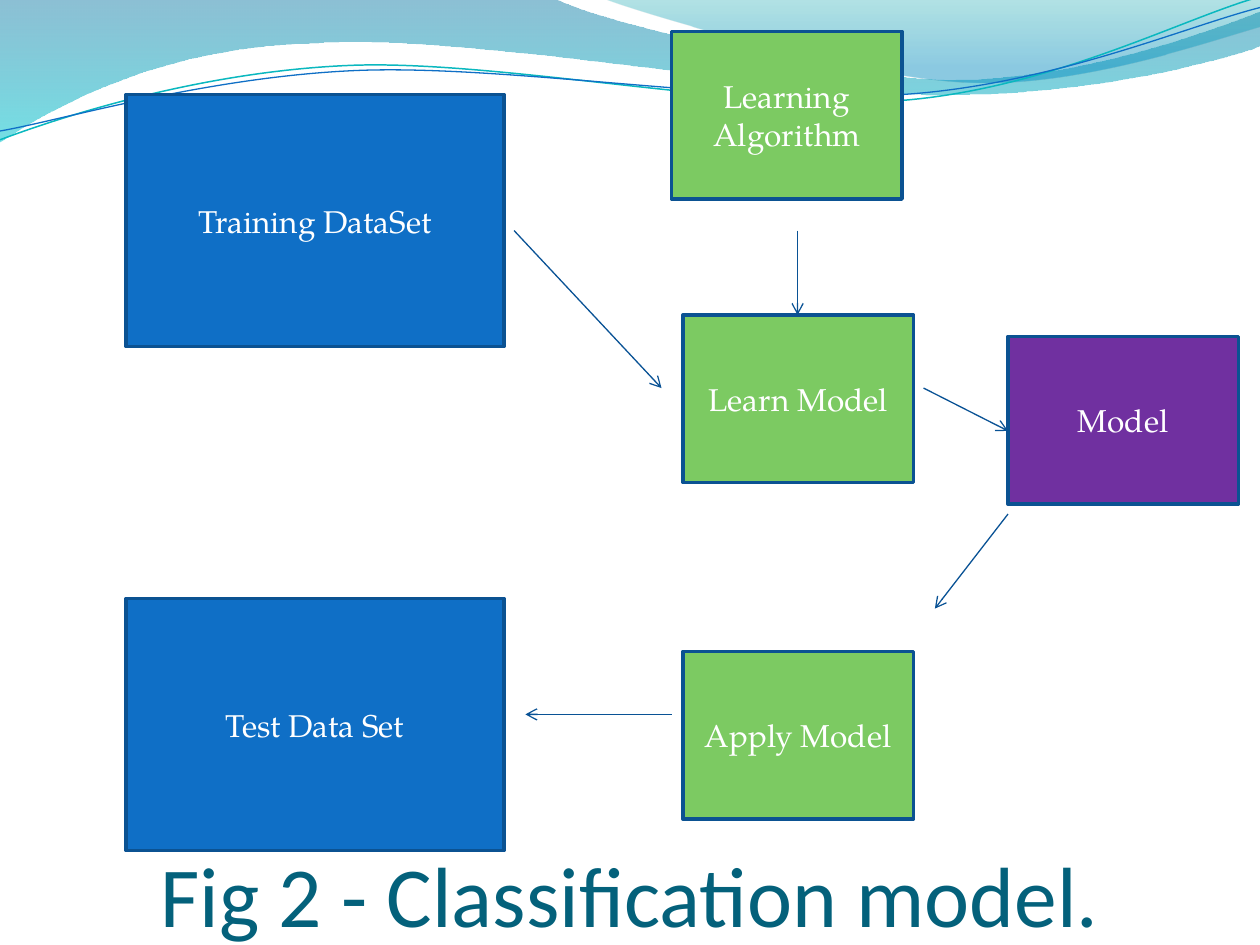
from lxml.etree import SubElement
from pptx import Presentation
from pptx.dml.color import RGBColor
from pptx.enum.shapes import MSO_CONNECTOR as Link, MSO_SHAPE as Shape
from pptx.enum.text import MSO_ANCHOR as Anchor, MSO_AUTO_SIZE as Fit, PP_ALIGN as Align
from pptx.oxml.ns import qn
from pptx.util import Inches, Pt

HUES = {
    "blue": "0F6FC6", "green": "7CCA62", "purple": "7030A0", "edge": "0B5292",
    "arrow": "095295", "title": "04617B", "white": "FFFFFF", "teal": "0AB8BF",
    "deep": "0074A1", "aqua": "00C6CF", "sea": "00A1A9", "sky": "008BBF",
}
BANDS = [
    ([(0, 0), (4.4, -0.01), (4.76, 0.17, 6.64, 0.63, 7.58, 0.63),
      (8.53, 0.63, 9.58, 0.26, 10, 0.09), (10.01, 0.36),
      (9.83, 0.44, 8.7, 0.76, 7.46, 0.75), (6.22, 0.75, 3.82, 0.28, 2.57, 0.34),
      (1.29, 0.36, 0.46, 0.83, -0.01, 1.13)],
     [(0, "deep", 45), (1, "aqua", 55)]),
    ([(4.79, -0.01), (5.09, 0.11, 6.82, 0.62, 7.69, 0.65),
      (8.56, 0.69, 9.61, 0.32, 10, 0.21), (10, 0)],
     [(0, "sea", 30), (0.8, "sky", 45)]),
]
CURVES = [
    ([(0, 1.11), (0.48, 0.93, 1.58, 0.57, 2.77, 0.52), (3.95, 0.47, 5.93, 0.89, 7.13, 0.8),
      (8.33, 0.71, 9.38, 0.15, 9.98, -0.02)], "teal", 0.85),
    ([(0, 1.04), (0.47, 0.96, 1.64, 0.61, 2.83, 0.56), (4.03, 0.51, 5.97, 0.84, 7.17, 0.75),
      (8.36, 0.67, 9.41, 0.21, 10, 0.06)], "blue", 0.75),
]
BIG, SMALL = (3, 2), (1.83, 1.33)
NODES = [
    ("Training DataSet", 1, 0.75, BIG, "blue"),
    ("Test Data Set", 1, 4.75, BIG, "blue"),
    ("Learning Algorithm", 5.33, 0.25, SMALL, "green"),
    ("Learn Model", 5.42, 2.5, SMALL, "green"),
    ("Apply Model", 5.42, 5.17, SMALL, "green"),
    ("Model", 8, 2.67, SMALL, "purple"),
]
ARROWS = [
    (4.08, 1.83, 5.25, 3.08), (6.33, 1.83, 6.33, 2.5), (7.33, 3.08, 8, 3.42),
    (8, 4.08, 7.42, 4.83), (5.33, 5.67, 4.17, 5.67),
]


def hue(name):
    """Return the named colour."""
    return RGBColor.from_string(HUES[name])


def stroke(line, name, width):
    """Set the colour and width of a line."""
    line.color.rgb = hue(name)
    line.width = Pt(width)


def draw(slide, box, route, close):
    """Add an outline of corners and Bezier parts, open or closed."""
    def place(x, y):
        """Return a point of the box in slide units."""
        return Inches(box[0] + x), Inches(box[1] + y)

    pen = slide.shapes.build_freeform(*place(*route[0]))
    pen.add_line_segments([place(*part[-2:]) for part in route[1:]], close=close)
    shape = pen.convert_to_shape()
    shape.shadow.inherit = False
    sides = list(shape._element.iter(qn("a:lnTo")))
    for side, part in zip(sides, route[1:]):
        if len(part) == 2:
            continue
        side.tag = qn("a:cubicBezTo")
        side.remove(side[0])
        for k in (0, 2, 4):
            x, y = place(*part[k:k + 2])
            SubElement(side, qn("a:pt"), x=str(x - shape.left), y=str(y - shape.top))
    return shape


def waves(slide, box):
    """Place the wave bands and curves along the top of the box."""
    for route, tones in BANDS:
        band = draw(slide, box, route, True)
        band.line.fill.background()
        band.fill.gradient()
        band.fill.gradient_angle = 270
        for stop, (place, name, alpha) in zip(band.fill.gradient_stops, tones):
            stop.position = place
            stop.color.rgb = hue(name)
        tints = band.fill._xPr.iter(qn("a:srgbClr"))
        for tint, (place, name, alpha) in zip(tints, tones):
            SubElement(tint, qn("a:alpha"), val=str(alpha * 1000))
    for route, name, width in CURVES:
        curve = draw(slide, box, route, False)
        curve.fill.background()
        stroke(curve.line, name, width)


def style(para, text, font, size, name):
    """Fill a centred paragraph and set its font."""
    para.text = text
    para.alignment = Align.CENTER
    para.font.name = font
    para.font.size = Pt(size)
    para.font.color.rgb = hue(name)


def flow(slide, box):
    """Place the model steps and their arrows in the box."""
    left, top = box[:2]
    for text, x, y, size, name in NODES:
        node = slide.shapes.add_shape(
            Shape.RECTANGLE, *map(Inches, (left + x, top + y, *size)))
        node.shadow.inherit = False
        node.fill.solid()
        node.fill.fore_color.rgb = hue(name)
        stroke(node.line, "edge", 2)
        frame = node.text_frame
        frame.word_wrap = True
        frame.vertical_anchor = Anchor.MIDDLE
        style(frame.paragraphs[0], text, "TeX Gyre Pagella", 18, "white")
    for x, y, to_x, to_y in ARROWS:
        ends = map(Inches, (left + x, top + y, left + to_x, top + to_y))
        arrow = slide.shapes.add_connector(Link.STRAIGHT, *ends)
        stroke(arrow.line, "arrow", 0.75)
        SubElement(arrow.line._get_or_add_ln(), qn("a:tailEnd"), type="arrow")
        SubElement(arrow._element.spPr, qn("a:effectLst"))


def label(slide, box):
    """Place the title as a figure label in the box."""
    title = slide.shapes.title
    title.left, title.top, title.width, title.height = map(Inches, box)
    frame = title.text_frame
    frame.auto_size = Fit.NONE
    frame.word_wrap = True
    frame.vertical_anchor = Anchor.BOTTOM
    frame.margin_left = frame.margin_right = frame.margin_bottom = 0
    frame.margin_top = Inches(0.05)
    style(frame.paragraphs[0], "Fig 2 - Classification model.", "Calibri", 48.8, "title")


def main():
    """Build and save the slide."""
    deck = Presentation()
    deck.slide_width, deck.slide_height = Inches(10), Inches(7.5)
    slide = deck.slides.add_slide(deck.slide_layouts[5])
    waves(slide, (0, 0, 10, 1.13))
    flow(slide, (0, 0, 10, 6.75))
    label(slide, (0, 6.42, 10, 1.08))
    deck.save("out.pptx")


if __name__ == "__main__":
    main()
